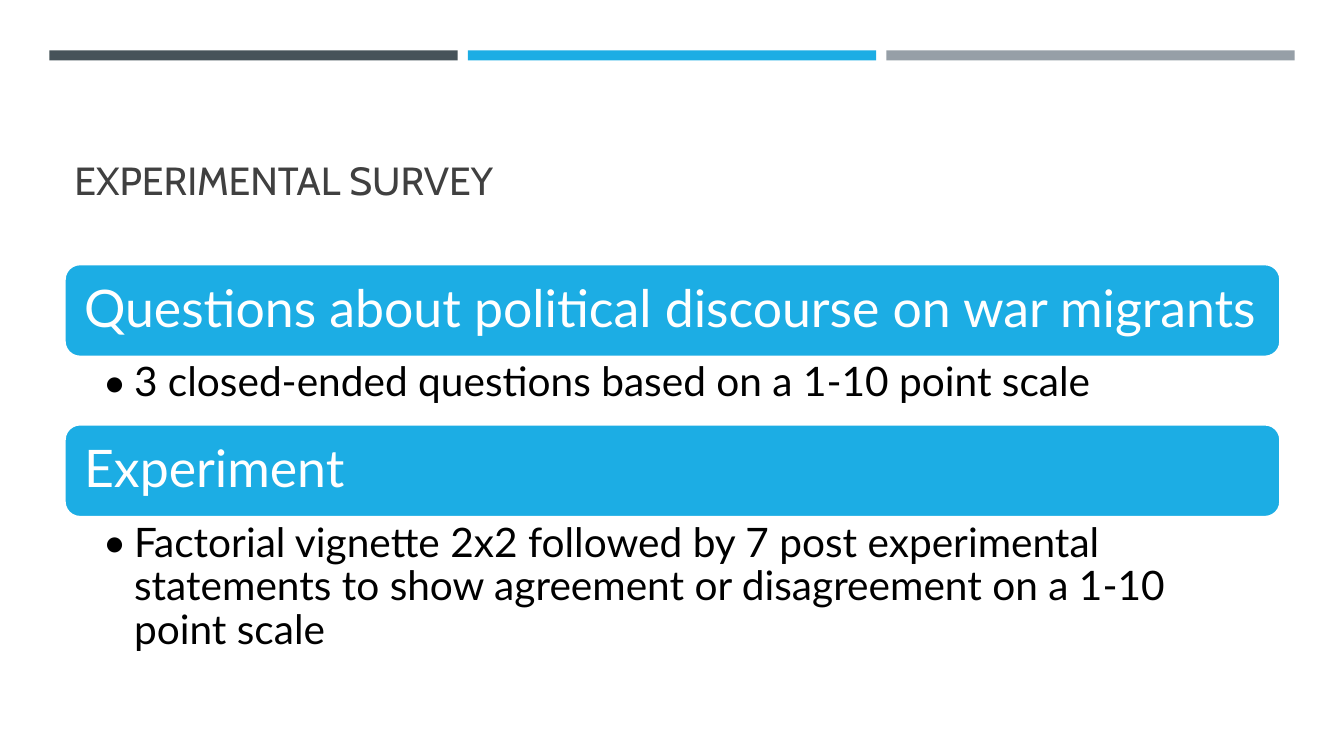
from lxml import etree
from pptx import Presentation
from pptx.dml.color import RGBColor
from pptx.enum.shapes import MSO_SHAPE as Shape
from pptx.enum.text import MSO_ANCHOR as Anchor, PP_ALIGN as Align
from pptx.oxml.ns import qn
from pptx.util import Inches, Pt

WHITE = RGBColor(0xFF, 0xFF, 0xFF)
BLACK = RGBColor(0, 0, 0)
BLUE = RGBColor(0x1C, 0xAD, 0xE4)
SLATE = RGBColor(0x46, 0x53, 0x59)
GRAY = RGBColor(0x96, 0x9F, 0xA7)
DARK = RGBColor(0x40, 0x40, 0x40)

TITLE = "EXPERIMENTAL SURVEY"
BANDS = [SLATE, BLUE, GRAY]
PARTS = [  # heading, detail, height of detail
    ("Questions about political discourse on war migrants",
     "3 closed-ended questions based on a 1-10 point scale", 0.67),
    ("Experiment",
     "Factorial vignette 2x2 followed by 7 post experimental statements "
     "to show agreement or disagreement on a 1-10 point scale", 1.34),
]
LEFT, WIDTH = 0.64, 12.06
BAR_TOP, BAR_H = 2.62, 0.92
BAND_W, BAND_STEP = 4.05, 4.15


def add_block(shapes, kind, box, fill):
    block = shapes.add_shape(kind, *map(Inches, box))
    block.shadow.inherit = False
    block.fill.solid()
    block.fill.fore_color.rgb = fill
    block.line.fill.background()
    return block


def write(shape, text, size, font, color, anchor, pads, bullet=False):
    """Fill a shape with one paragraph; pads are left, top, right, bottom."""
    frame = shape.text_frame
    frame.word_wrap = True
    frame.vertical_anchor = anchor
    (frame.margin_left, frame.margin_top,
     frame.margin_right, frame.margin_bottom) = map(Inches, pads)
    para = frame.paragraphs[0]
    para.alignment = Align.LEFT
    if bullet:
        props = para._p.get_or_add_pPr()
        props.set("marL", str(Inches(0.31)))
        props.set("indent", str(Inches(-0.31)))
        etree.SubElement(props, qn("a:buFont")).set("typeface", font)
        etree.SubElement(props, qn("a:buChar")).set("char", "•")
    run = para.add_run()
    run.text = text
    run.font.size = Pt(size)
    run.font.name = font
    run.font.color.rgb = color
    return para


def main():
    deck = Presentation()
    deck.slide_width, deck.slide_height = Inches(13.33), Inches(7.5)
    shapes = deck.slides.add_slide(deck.slide_layouts[6]).shapes

    for i, color in enumerate(BANDS):
        box = (0.49 + i * BAND_STEP, 0.5, BAND_W, 0.1)
        add_block(shapes, Shape.RECTANGLE, box, color)

    title = shapes.add_textbox(*map(Inches, (LEFT, 0.77, WIDTH, 1.3)))
    write(title, TITLE, 28, "Cabin", DARK, Anchor.BOTTOM, (0.1, 0.05, 0.1, 0.05))

    top = BAR_TOP
    for heading, detail, height in PARTS:
        bar = add_block(shapes, Shape.ROUNDED_RECTANGLE,
                        (LEFT, top, WIDTH, BAR_H), BLUE)
        bar.line.color.rgb = WHITE
        bar.line.width = Pt(1.75)
        # The rounded corners already inset the text a little.
        para = write(bar, heading, 37, "Lato", WHITE, Anchor.MIDDLE,
                     (0.15, 0.1, 0.1, 0.1))
        para.line_spacing = 0.9
        top += BAR_H

        note = shapes.add_textbox(*map(Inches, (LEFT, top, WIDTH, height)))
        para = write(note, detail, 29, "Lato", BLACK, Anchor.TOP,
                     (0.38, 0.05, 0.29, 0.05), bullet=True)
        para.line_spacing = 0.9
        top += height

    deck.save("out.pptx")


if __name__ == "__main__":
    main()
